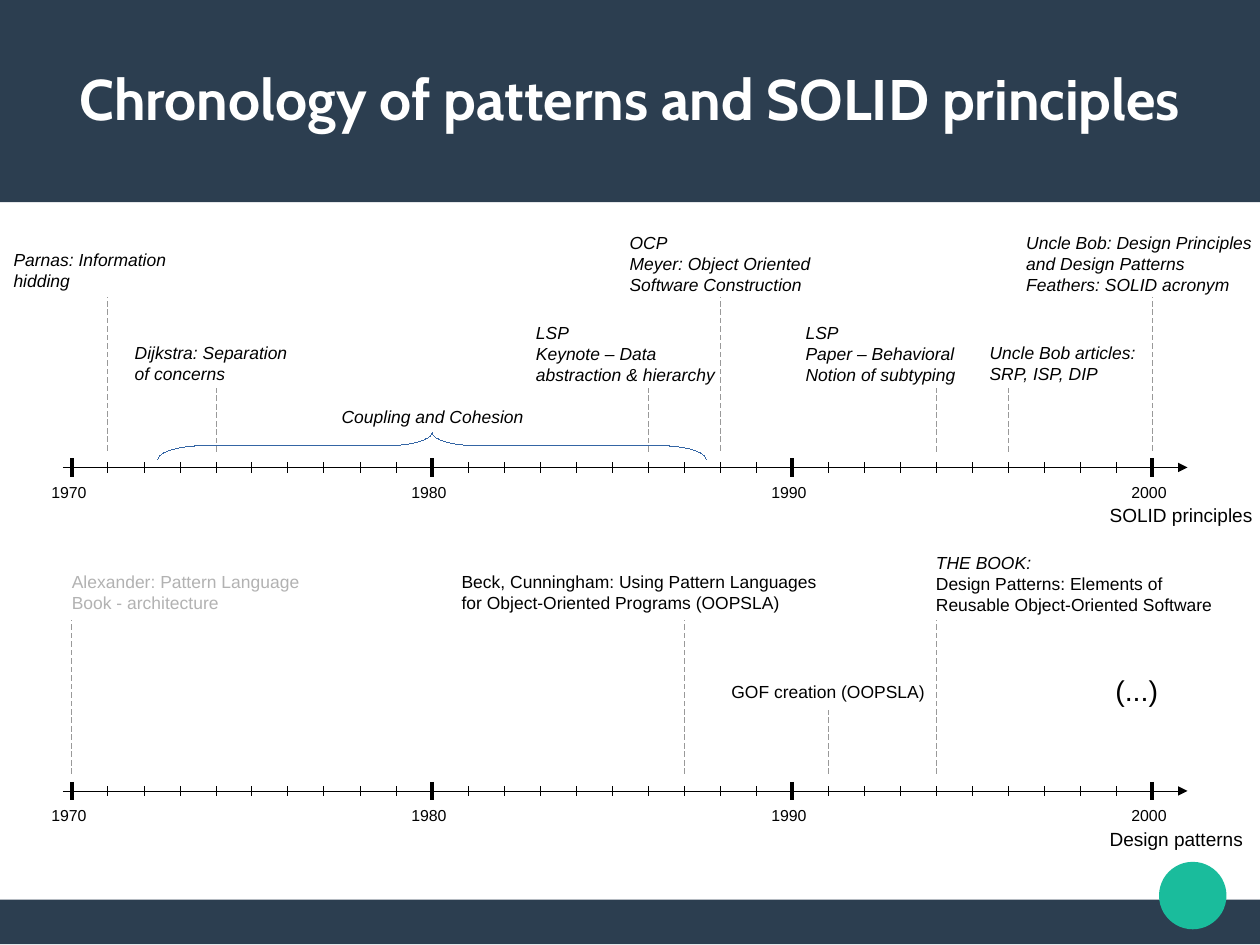
from lxml import etree
from pptx import Presentation
from pptx import util as u
from pptx.dml.color import RGBColor
from pptx.enum import dml, shapes, text
from pptx.oxml import ns

TITLE = "Chronology of patterns and SOLID principles"
HUES = {"navy": "2C3E50", "teal": "1ABC9C", "white": "FFFFFF", "black": "000000",
        "pale": "B2B2B2", "gray": "999999", "blue": "3465A4"}
SIZE = (28 / 2.54, 21 / 2.54)
FIRST, LAST, STEP = 1970, 2000, 0.315
START = 0.63
AXES = [("SOLID principles", 4.09), ("Design patterns", 6.92)]
BANDS = [("RECTANGLE", "navy", (0, 7.87, SIZE[0], 0.39)),
         ("RECTANGLE", "navy", (0, 0, SIZE[0], 1.77)),
         ("OVAL", "teal", (10.14, 7.54, 0.59, 0.59))]

NOTES = [
    (["Parnas: Information", "hidding"], (0.02, 2.13, 1.56, 0.46), 11, "black", 2),
    (["Dijkstra: Separation", "of concerns"], (1.08, 2.94, 1.56, 0.46), 11, "black", 2),
    (["Coupling and Cohesion"], (2.89, 3.5, 1.82, 0.29), 11, "black", 1),
    (["LSP", "Keynote – Data", "abstraction & hierarchy"],
     (4.59, 2.77, 1.79, 0.61), 11, "black", 3),
    (["OCP", "Meyer: Object Oriented", "Software Construction"],
     (5.41, 1.98, 1.81, 0.61), 11, "black", 3),
    (["LSP", "Paper – Behavioral", "Notion of subtyping"],
     (6.95, 2.77, 1.53, 0.61), 11, "black", 3),
    (["Uncle Bob articles:", "SRP, ISP, DIP"], (8.56, 2.94, 1.5, 0.44), 11, "black", 2),
    (["Uncle Bob: Design Principles", "and Design Patterns", "Feathers: SOLID acronym"],
     (8.88, 1.98, 2.2, 0.61), 11, "black", 3),
    (["Alexander: Pattern Language", "Book - architecture"],
     (0.53, 4.95, 2.22, 0.44), 11, "pale", 0),
    (["Beck, Cunningham: Using Pattern Languages", "for Object-Oriented Programs (OOPSLA)"],
     (3.94, 4.95, 3.33, 0.44), 11, "black", 0),
    (["GOF creation (OOPSLA)"], (6.3, 5.91, 1.92, 0.27), 11, "black", 0),
    (["THE BOOK:", "Design Patterns: Elements of", "Reusable Object-Oriented Software"],
     (8.09, 4.78, 2.64, 0.61), 11, "black", 1),
    (["(...)"], (9.66, 5.84, 0.6, 0.38), 18, "black", 0),
]
LEADS = [(2.6, 3.94, [1971, 1988, 2000]), (3.4, 3.95, [1974, 1986, 1994, 1996]),
         (5.43, 6.77, [1970, 1987, 1994]), (6.22, 6.77, [1991])]


def hue(name):
    return RGBColor.from_string(HUES[name])


def place(year):
    return START + (year - FIRST) * STEP


def inch(box):
    return [u.Inches(n) for n in box]


def style(para, size, tint, face="Arial", bold=False, slant=False):
    for run in para.runs:
        font = run.font
        font.size, font.name = u.Pt(size), face
        font.bold, font.italic = bold, slant
        font.color.rgb = hue(tint)


def write(home, lines, box, size, tint="black", slants=0):
    frame = home.add_textbox(*inch(box)).text_frame
    frame.text = "\n".join(lines)
    frame.word_wrap = False
    frame.auto_size = text.MSO_AUTO_SIZE.SHAPE_TO_FIT_TEXT
    for i, para in enumerate(frame.paragraphs):
        style(para, size, tint, slant=i < slants)


def stroke(item, tint, width=0):
    item.line.color.rgb = hue(tint)
    item.line._get_or_add_ln().set("w", str(u.Pt(width)))


def rule(home, ends, tint="black", width=0):
    line = home.add_connector(shapes.MSO_CONNECTOR.STRAIGHT, *inch(ends))
    line._element.remove(line._element.find(ns.qn("p:style")))
    stroke(line, tint, width)
    etree.SubElement(line._element.spPr, ns.qn("a:effectLst"))
    return line


def axis(home, label, y):
    write(home, [label], (9.61, y + 0.27, 1.45, 0.29), 12)
    arrow = rule(home, (0.55, y, 10.39, y))
    etree.SubElement(arrow.line._get_or_add_ln(), ns.qn("a:tailEnd"), type="triangle")
    for year in range(FIRST, LAST + 1):
        x = place(year)
        if year % 10:
            rule(home, (x, y - 0.04, x, y + 0.04))
        else:
            rule(home, (x, y - 0.08, x, y + 0.08), width=2.3)
            write(home, [str(year)], (x - 0.28, y + 0.08, 0.51, 0.25), 10)


def main():
    deck = Presentation()
    deck.slide_width, deck.slide_height = inch(SIZE)
    slide = deck.slides.add_slide(deck.slide_layouts[5])
    items = slide.shapes

    for kind, tint, box in BANDS:
        band = items.add_shape(shapes.MSO_SHAPE[kind], *inch(box))
        band.shadow.inherit = False
        band.fill.solid()
        band.fill.fore_color.rgb = hue(tint)
        band.line.fill.background()

    title = items.title
    items._spTree.append(title._element)
    title.left, title.top, title.width, title.height = inch((0.39, 0.33, 10.24, 1.05))
    frame = title.text_frame
    frame.text = TITLE
    frame.margin_left = frame.margin_right = frame.margin_top = frame.margin_bottom = 0
    frame.vertical_anchor = text.MSO_ANCHOR.MIDDLE
    frame.auto_size = text.MSO_AUTO_SIZE.NONE
    frame.paragraphs[0].alignment = text.PP_ALIGN.CENTER
    style(frame.paragraphs[0], 36, "white", "Cabin", bold=True)

    for label, y in AXES:
        axis(items.add_group_shape().shapes, label, y)
    for note in NOTES:
        write(items, *note)
    for top, end, years in LEADS:
        for year in years:
            lead = rule(items, (place(year), end, place(year), top), "gray")
            lead.line.dash_style = dml.MSO_LINE.DASH

    brace = items.add_shape(shapes.MSO_SHAPE.LEFT_BRACE, *inch((3.66, 1.5, 0.24, 4.8)))
    brace.rotation = 90
    brace.adjustments[0] = 1.67
    brace.shadow.inherit = False
    brace.fill.background()
    stroke(brace, "blue")

    deck.save("out.pptx")


if __name__ == "__main__":
    main()
